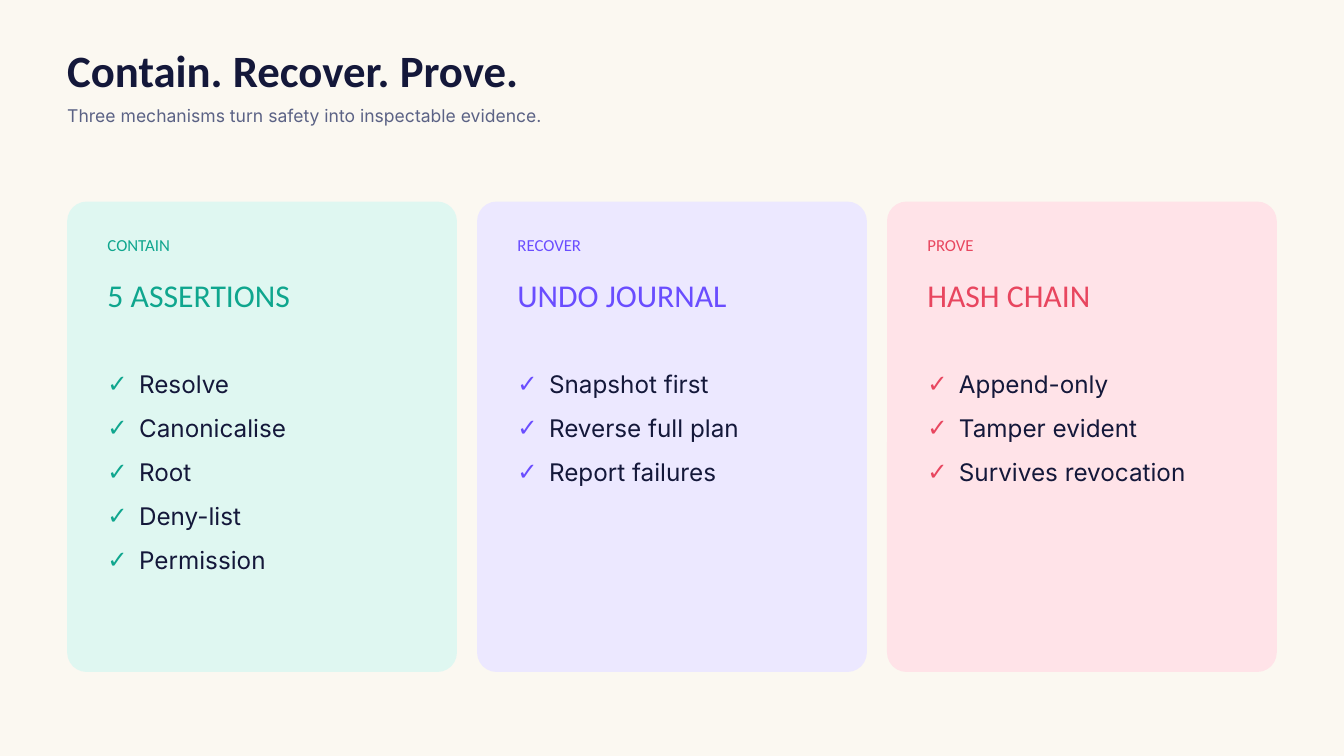
from dataclasses import dataclass
from typing import Optional

from lxml.etree import SubElement
from pptx import Presentation
from pptx.dml.color import RGBColor
from pptx.enum.shapes import MSO_SHAPE
from pptx.enum.text import MSO_AUTO_SIZE
from pptx.oxml.ns import qn
from pptx.slide import Slide
from pptx.util import Inches, Pt


@dataclass(frozen=True)
class Theme:
    background: str = "FBF8F1"
    ink: str = "14183A"
    muted: str = "5B6285"
    heading_font: str = "Calibri"
    body_font: str = "Inter"
    check_font: str = "Cabin"
    title_size: float = 48
    subtitle_size: float = 18.8
    label_size: float = 18
    heading_size: float = 34
    item_size: float = 26


@dataclass(frozen=True)
class Card:
    label: str
    heading: str
    items: tuple[str, ...]
    accent: str
    fill: str


THEME = Theme()
MARGIN = 1
CARD_TOP, CARD_WIDTH, CARD_HEIGHT, CARD_GAP = 3, 5.8, 7, 0.3
CARD_PADDING = 0.6
CHECK_INDENT = 0.47

CARDS = (
    Card("CONTAIN", "5 ASSERTIONS",
         ("Resolve", "Canonicalise", "Root", "Deny-list", "Permission"),
         "0FA68E", "DFF7F1"),
    Card("RECOVER", "UNDO JOURNAL",
         ("Snapshot first", "Reverse full plan", "Report failures"),
         "6A4DFF", "ECE8FF"),
    Card("PROVE", "HASH CHAIN",
         ("Append-only", "Tamper evident", "Survives revocation"),
         "E8465F", "FFE3E8"),
)


def add_check_bullet(paragraph, color: str) -> None:
    """Give the paragraph a hanging check mark in the given colour."""
    properties = paragraph._p.get_or_add_pPr()
    properties.set("marL", str(Inches(CHECK_INDENT)))
    properties.set("indent", str(-Inches(CHECK_INDENT)))
    bullet_color = SubElement(properties, qn("a:buClr"))
    SubElement(bullet_color, qn("a:srgbClr"), val=color)
    SubElement(properties, qn("a:buFont"), typeface=THEME.check_font)
    SubElement(properties, qn("a:buChar"), char="✓")


def add_text(slide: Slide, *lines: str, left: float, top: float, width: float,
             height: float, size: float, color: str,
             font: str = THEME.heading_font, bold: bool = False,
             line_spacing: Optional[float] = None, space_after: float = 0,
             check_color: Optional[str] = None) -> None:
    """Add a text box without insets, one paragraph per line."""
    box = slide.shapes.add_textbox(Inches(left), Inches(top), Inches(width), Inches(height))
    frame = box.text_frame
    frame.word_wrap = True
    frame.auto_size = MSO_AUTO_SIZE.SHAPE_TO_FIT_TEXT
    frame.margin_left = frame.margin_right = frame.margin_top = frame.margin_bottom = 0
    for index, line in enumerate(lines):
        paragraph = frame.add_paragraph() if index else frame.paragraphs[0]
        if check_color:
            add_check_bullet(paragraph, check_color)
        if line_spacing:
            paragraph.line_spacing = Pt(line_spacing)
        if space_after:
            paragraph.space_after = Pt(space_after)
        run = paragraph.add_run()
        run.text = line
        run.font.name = font
        run.font.size = Pt(size)
        run.font.bold = bold
        run.font.color.rgb = RGBColor.from_string(color)


def add_card(slide: Slide, card: Card, left: float) -> None:
    panel = slide.shapes.add_shape(
        MSO_SHAPE.ROUNDED_RECTANGLE, Inches(left), Inches(CARD_TOP),
        Inches(CARD_WIDTH), Inches(CARD_HEIGHT))
    panel.adjustments[0] = 0.05
    panel.shadow.inherit = False
    panel.fill.solid()
    panel.fill.fore_color.rgb = RGBColor.from_string(card.fill)
    panel.line.fill.background()

    text_left = left + CARD_PADDING
    text_width = CARD_WIDTH - 2 * CARD_PADDING
    add_text(slide, card.label, left=text_left, top=CARD_TOP + 0.5, width=text_width,
             height=0.4, size=THEME.label_size, color=card.accent)
    add_text(slide, card.heading, left=text_left, top=CARD_TOP + 1.1, width=text_width,
             height=1, size=THEME.heading_size, color=card.accent)
    add_text(slide, *card.items, left=text_left, top=CARD_TOP + 2.5,
             width=text_width + 0.1, height=4.2, size=THEME.item_size, color=THEME.ink,
             font=THEME.body_font, space_after=16, check_color=card.accent)


def main() -> None:
    presentation = Presentation()
    presentation.slide_width = Inches(20)
    presentation.slide_height = Inches(11.25)
    slide = presentation.slides.add_slide(presentation.slide_layouts[6])
    slide.background.fill.solid()
    slide.background.fill.fore_color.rgb = RGBColor.from_string(THEME.background)

    add_text(slide, "Contain. Recover. Prove.", left=MARGIN, top=0.73, width=15.62,
             height=0.82, size=THEME.title_size, color=THEME.ink, bold=True,
             line_spacing=50.4)
    add_text(slide, "Three mechanisms turn safety into inspectable evidence.",
             left=MARGIN, top=1.53, width=15.62, height=0.34, size=THEME.subtitle_size,
             color=THEME.muted, font=THEME.body_font, line_spacing=25.3)
    for index, card in enumerate(CARDS):
        add_card(slide, card, MARGIN + index * (CARD_WIDTH + CARD_GAP))

    presentation.save("out.pptx")


if __name__ == "__main__":
    main()
